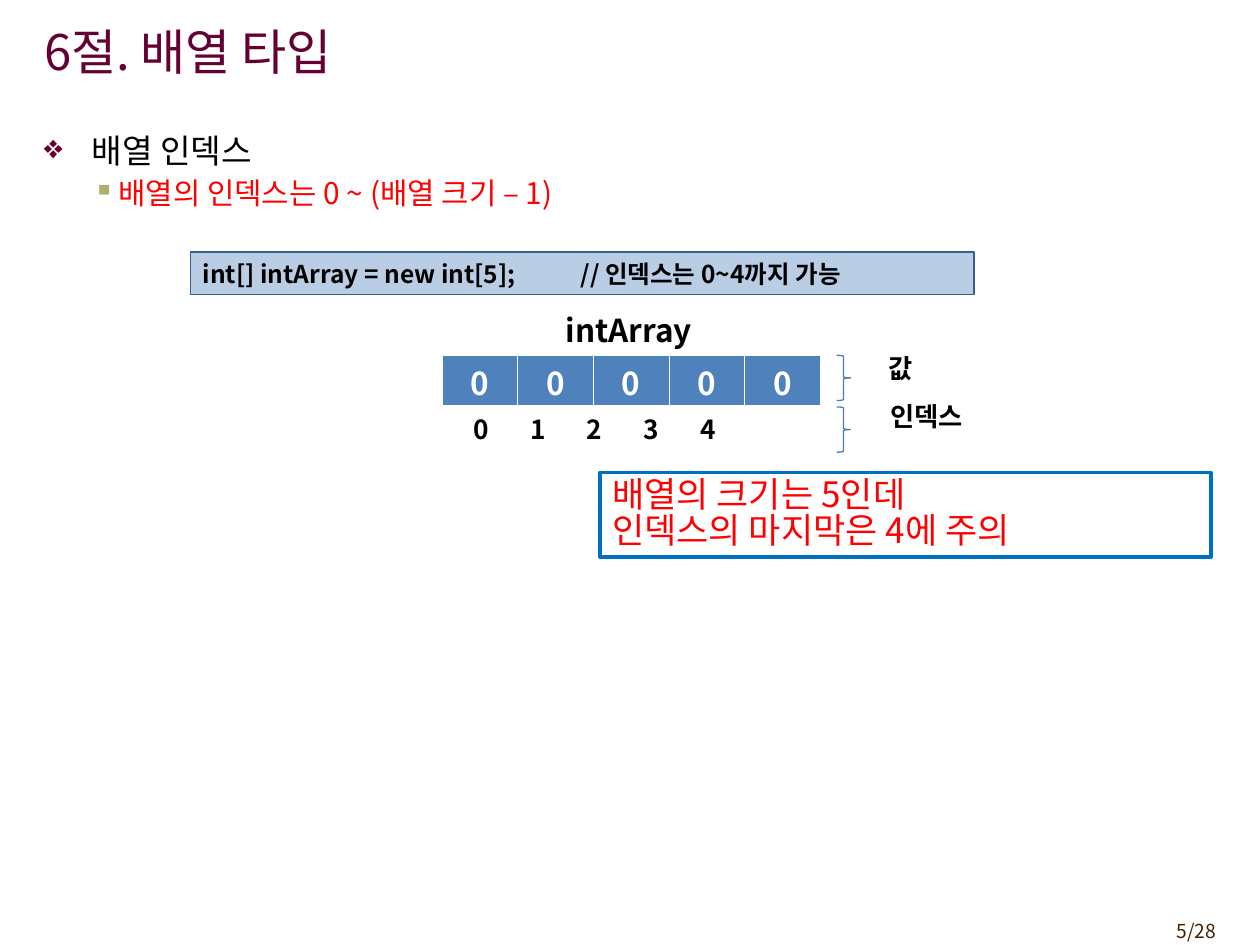
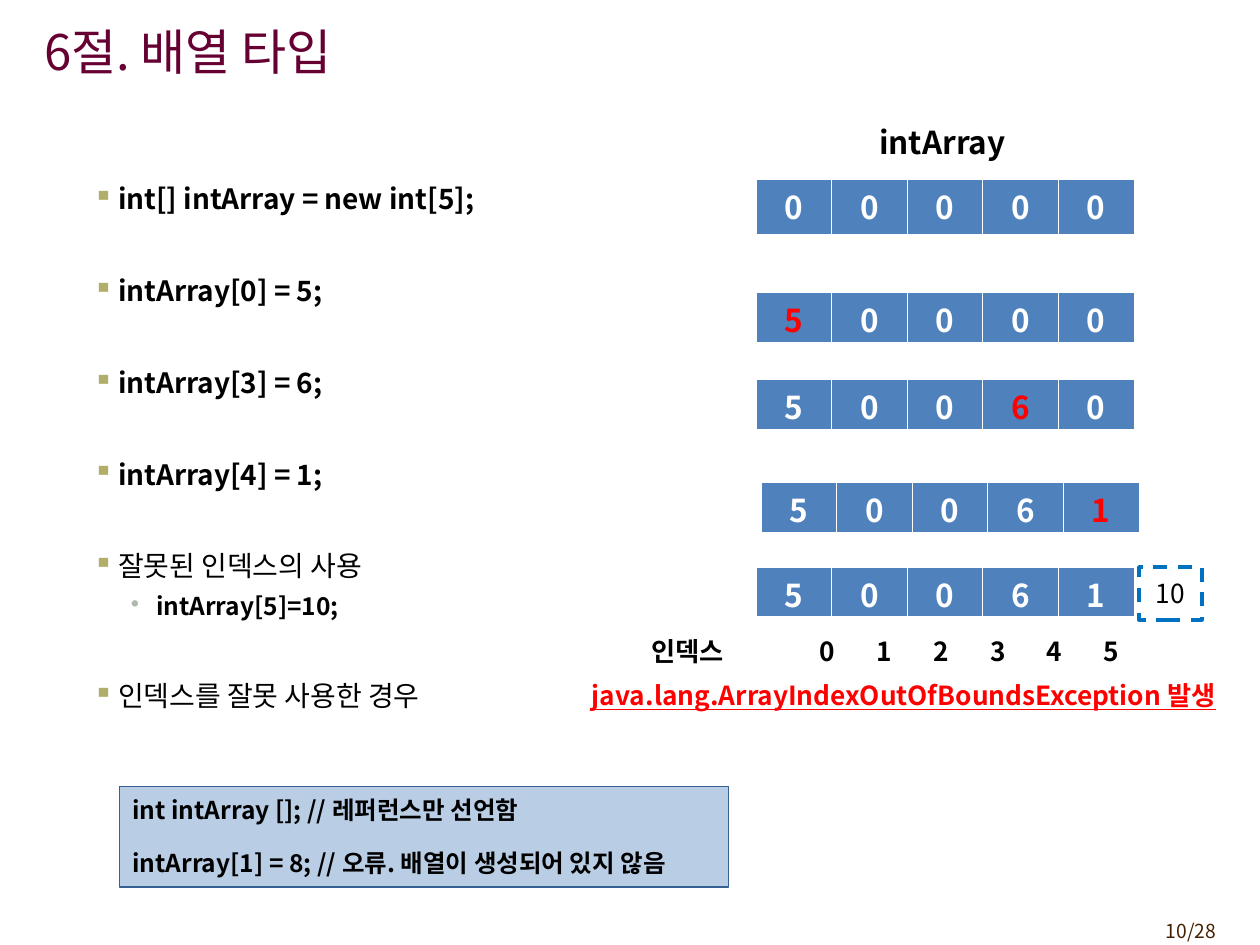
from lxml import etree
from pptx import Presentation
from pptx.dml.color import RGBColor
from pptx.enum.dml import MSO_LINE
from pptx.enum.shapes import MSO_SHAPE
from pptx.enum.text import MSO_ANCHOR, PP_ALIGN
from pptx.oxml.ns import qn
from pptx.util import Inches, Pt

RECTANGLE, RIGHT_BRACE = MSO_SHAPE.RECTANGLE, MSO_SHAPE.RIGHT_BRACE
LEFT, CENTER, RIGHT = PP_ALIGN.LEFT, PP_ALIGN.CENTER, PP_ALIGN.RIGHT
TOP, MIDDLE = MSO_ANCHOR.TOP, MSO_ANCHOR.MIDDLE
DASH = MSO_LINE.DASH

FONT = "Noto Sans CJK KR"
TITLE = "6절. 배열 타입"
PAGE_COUNT = 28
TITLE_ONLY = 5
BLACK, WHITE, RED = "000000", "FFFFFF", "FF0000"
WINE, BROWN = "660033", "452103"
CELL_BLUE, CODE_FILL, CODE_LINE = "4F81BD", "B9CDE5", "376092"
BOX_LINE, BRACE_LINE = "0070C0", "4A7EBB"
CELL_WIDTH = 0.6
INDEX_PITCH = 0.45
BODY_SPACING = 0.91
BULLETS = [
    {"text": 0.38, "hang": 0.38, "mark": "❖", "color": WINE},
    {"text": 0.59, "hang": 0.2, "mark": "▪", "color": "B1AE6B"},
    {"text": 0.89, "hang": 0.2, "mark": "•", "color": "ADB9AD"},
]


def rgb(value):
    """Turn a hex string into a colour."""
    return RGBColor.from_string(value)


def box(left, top, width, height):
    """Turn four numbers of inches into lengths."""
    return [Inches(value) for value in (left, top, width, height)]


def add_run(paragraph, text, size, color=BLACK, bold=False, underline=False):
    """Add one formatted run to a paragraph."""
    run = paragraph.add_run()
    run.text = text
    font = run.font
    font.name, font.size, font.bold = FONT, Pt(size), bold
    font.color.rgb = rgb(color)
    if underline:
        font.underline = True
    properties = run._r.get_or_add_rPr()
    etree.SubElement(properties, qn("a:ea")).set("typeface", FONT)


def write_lines(frame, lines, size, color=BLACK, bold=False, align=LEFT,
                anchor=TOP, gap=0, spacing=None, underline=False):
    """Write one paragraph for each line, with a gap between them."""
    frame.word_wrap = True
    frame.vertical_anchor = anchor
    for number, line in enumerate(lines):
        paragraph = frame.add_paragraph() if number else frame.paragraphs[0]
        paragraph.alignment = align
        if number and gap:
            paragraph.space_before = Pt(gap)
        if spacing:
            paragraph.line_spacing = spacing
        add_run(paragraph, line, size, color, bold, underline)


def add_label(slide, place, text, size, **style):
    """Add a text box with one line and return its paragraph."""
    frame = slide.shapes.add_textbox(*box(*place)).text_frame
    write_lines(frame, [text], size, **style)
    return frame.paragraphs[0]


def set_tabs(paragraph, stops):
    """Give a paragraph left tab stops in inches."""
    tab_list = etree.SubElement(paragraph._p.get_or_add_pPr(), qn("a:tabLst"))
    for stop in stops:
        etree.SubElement(tab_list, qn("a:tab"), pos=str(Inches(stop)), algn="l")


def set_bullet(paragraph, bullet):
    """Give a paragraph a hanging coloured bullet."""
    properties = paragraph._p.get_or_add_pPr()
    properties.set("marL", str(Inches(bullet["text"])))
    properties.set("indent", str(-Inches(bullet["hang"])))
    color = etree.SubElement(properties, qn("a:buClr"))
    etree.SubElement(color, qn("a:srgbClr"), val=bullet["color"])
    etree.SubElement(properties, qn("a:buChar"), char=bullet["mark"])


def add_bullets(slide, top, items):
    """Add a list of (level, text, size, space before, run style)."""
    frame = slide.shapes.add_textbox(*box(0.25, top, 9.5, 7.27 - top)).text_frame
    frame.word_wrap = True
    for number, (level, text, size, before, style) in enumerate(items):
        paragraph = frame.add_paragraph() if number else frame.paragraphs[0]
        paragraph.line_spacing = BODY_SPACING
        paragraph.space_before = Pt(before)
        paragraph.space_after = Pt(3 if level else 0)
        set_bullet(paragraph, BULLETS[level])
        add_run(paragraph, text, size, **style)


def add_outline(slide, kind, place, line, width, fill=None, dash=None):
    """Add a preset shape with a line and an optional fill."""
    shape = slide.shapes.add_shape(kind, *box(*place))
    shape.shadow.inherit = False
    shape.line.color.rgb = rgb(line)
    shape.line.width = Pt(width)
    if dash:
        shape.line.dash_style = dash
    if fill:
        shape.fill.solid()
        shape.fill.fore_color.rgb = rgb(fill)
    else:
        shape.fill.background()
    return shape


def add_code(slide, place, lines, gap=0):
    """Add a blue code panel and return its text frame."""
    panel = add_outline(slide, RECTANGLE, place, CODE_LINE, 0.75, CODE_FILL)
    write_lines(panel.text_frame, lines, 14, bold=True, anchor=MIDDLE, gap=gap)
    return panel.text_frame


def set_borders(cell):
    """Draw white borders around a cell."""
    properties = cell._tc.get_or_add_tcPr()
    for side, width in (("L", 0.5), ("R", 0.5), ("T", 0.5), ("B", 1.5)):
        line = etree.SubElement(properties, qn(f"a:ln{side}"), w=str(Pt(width)))
        fill = etree.SubElement(line, qn("a:solidFill"))
        etree.SubElement(fill, qn("a:srgbClr"), val=WHITE)


def add_array(slide, left, top, values, changed=None, height=0.4):
    """Draw an array as a one-row table, its changed value in red."""
    place = box(left, top, CELL_WIDTH * len(values), height)
    table = slide.shapes.add_table(1, len(values), *place).table
    table.first_row = table.horz_banding = False
    for index, value in enumerate(values):
        table.columns[index].width = Inches(CELL_WIDTH)
        cell = table.cell(0, index)
        set_borders(cell)
        cell.fill.solid()
        cell.fill.fore_color.rgb = rgb(CELL_BLUE)
        cell.margin_top, cell.margin_bottom = Inches(0.03), 0
        paragraph = cell.text_frame.paragraphs[0]
        paragraph.alignment = CENTER
        color = RED if index == changed else WHITE
        add_run(paragraph, str(value), 18, color, bold=True)


def add_indexes(slide, left, top, count):
    """Write the index numbers at equal steps."""
    text = "\t".join(str(index) for index in range(count))
    paragraph = add_label(slide, (left, top, 3, 0.35), text, 15, bold=True)
    set_tabs(paragraph, [INDEX_PITCH * step for step in range(1, count)])


def add_array_name(slide, left, top):
    """Write the name of the array above its cells."""
    add_label(slide, (left, top, 1.4, 0.4), "intArray", 18, bold=True)


def add_slide(presentation, page):
    """Add a slide with the shared title and page number."""
    slide = presentation.slides.add_slide(presentation.slide_layouts[TITLE_ONLY])
    title = slide.shapes.title
    title.left, title.top, title.width, title.height = box(0.25, 0.09, 8.27, 0.63)
    write_lines(title.text_frame, [TITLE], 28, WINE, anchor=MIDDLE)
    add_label(slide, (8.92, 7.25, 0.83, 0.29), f"{page}/{PAGE_COUNT}", 11,
              color=BROWN, align=RIGHT)
    return slide


def build_index_slide(presentation):
    """Explain the range of array indexes."""
    slide = add_slide(presentation, 5)
    add_bullets(slide, 1.02, [
        (0, "배열 인덱스", 19, 0, {}),
        (1, "배열의 인덱스는 0 ~ (배열 크기 – 1)", 17, 4.2, {"color": RED}),
    ])
    code = add_code(slide, (1.51, 2, 6.22, 0.34),
                    ["int[] intArray = new int[5];\t// 인덱스는 0~4까지 가능"])
    set_tabs(code.paragraphs[0], [3])
    add_array_name(slide, 4.39, 2.42)
    add_array(slide, 3.51, 2.82, [0] * 5)
    add_indexes(slide, 3.66, 3.23, 5)
    for text, left, top, brace_top in (("값", 6.95, 2.75, 2.82),
                                       ("인덱스", 6.97, 3.13, 3.23)):
        add_outline(slide, RIGHT_BRACE, (6.64, brace_top, 0.11, 0.36),
                    BRACE_LINE, 0.75)
        add_label(slide, (left, top, 0.9, 0.35), text, 15, bold=True)
    notice = add_outline(slide, RECTANGLE, (4.76, 3.75, 4.85, 0.67), BOX_LINE, 2)
    write_lines(notice.text_frame,
                ["배열의 크기는 5인데", "인덱스의 마지막은 4에 주의"],
                20, RED, anchor=MIDDLE, spacing=0.85)


def build_assignment_slide(presentation):
    """Show assignments step by step and an index out of bounds."""
    slide = add_slide(presentation, 10)
    bold = {"bold": True}
    add_bullets(slide, 1.42, [
        (1, "int[] intArray = new int[5];", 16, 0, bold),
        (1, "intArray[0] = 5;", 16, 32, bold),
        (1, "intArray[3] = 6;", 16, 32, bold),
        (1, "intArray[4] = 1;", 16, 32, bold),
        (1, "잘못된 인덱스의 사용", 16, 32, {}),
        (2, "intArray[5]=10;", 14, 3.5, bold),
        (1, "인덱스를 잘못 사용한 경우", 16, 32, {}),
    ])
    add_array_name(slide, 6.88, 0.93)
    add_array(slide, 6, 1.42, [0] * 5, height=0.45)
    add_array(slide, 6, 2.32, [5, 0, 0, 0, 0], changed=0)
    add_array(slide, 6, 3.01, [5, 0, 0, 6, 0], changed=3)
    add_array(slide, 6.04, 3.83, [5, 0, 0, 6, 1], changed=4)
    add_array(slide, 6, 4.5, [5, 0, 0, 6, 1])
    outside = add_outline(slide, RECTANGLE, (9.04, 4.5, 0.5, 0.42), BOX_LINE, 2,
                          dash=DASH)
    write_lines(outside.text_frame, ["10"], 15, align=CENTER, anchor=MIDDLE)
    add_label(slide, (5.07, 4.99, 0.9, 0.35), "인덱스", 15, bold=True)
    add_indexes(slide, 6.41, 4.99, 6)
    add_label(slide, (4.6, 5.34, 5.4, 0.35),
              "java.lang.ArrayIndexOutOfBoundsException 발생", 15,
              color=RED, bold=True, underline=True)
    add_code(slide, (0.95, 6.24, 4.83, 0.8),
             ["int intArray []; // 레퍼런스만 선언함",
              "intArray[1] = 8; // 오류. 배열이 생성되어 있지 않음"], gap=13.5)


def main():
    """Build the presentation and save it."""
    presentation = Presentation()
    presentation.slide_width, presentation.slide_height = Inches(10), Inches(7.5)
    build_index_slide(presentation)
    build_assignment_slide(presentation)
    presentation.save("out.pptx")


if __name__ == "__main__":
    main()
